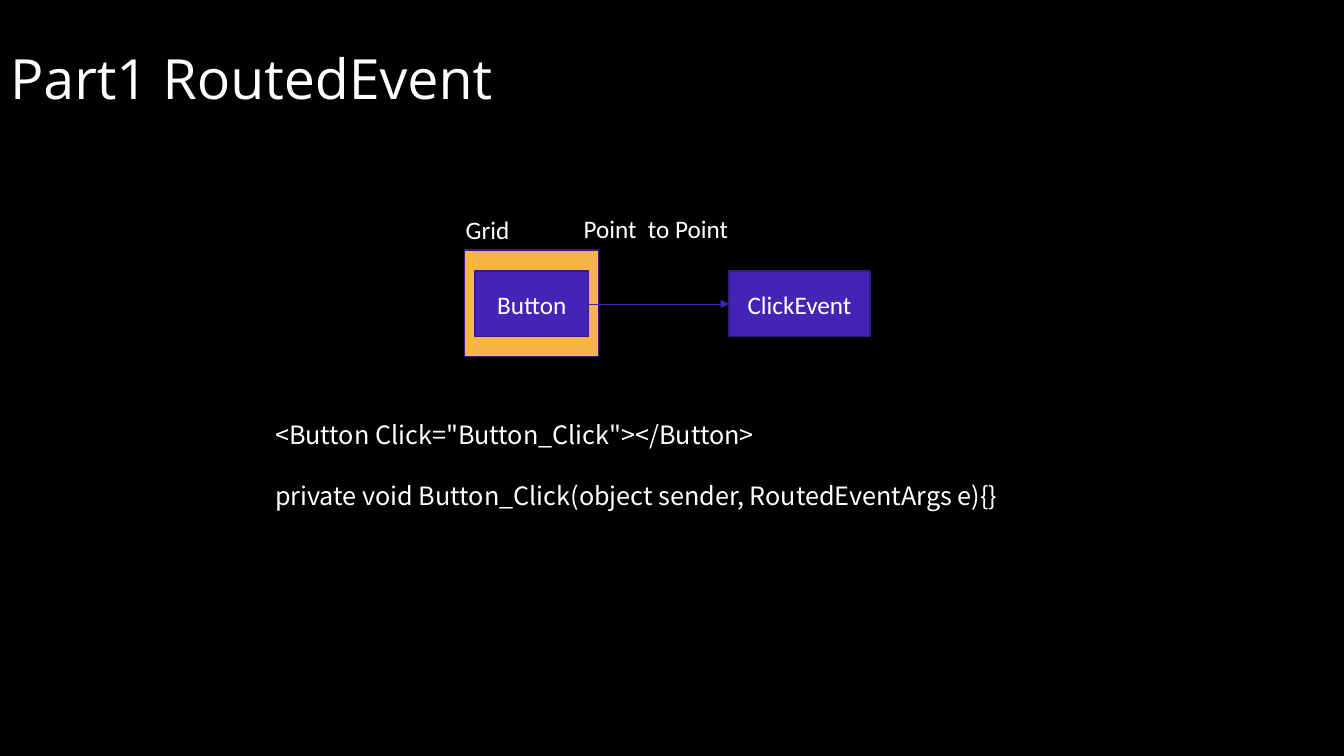
import pptx
import pptx.util
import pptx.dml.color
import pptx.enum.shapes
import pptx.enum.text
import pptx.oxml
import pptx.oxml.ns

Inches, Pt = pptx.util.Inches, pptx.util.Pt
RGB = pptx.dml.color.RGBColor.from_string
ALIGN = pptx.enum.text.PP_ALIGN
ANCHOR = pptx.enum.text.MSO_ANCHOR
COLORS = {"back": "000000", "text": "FFFFFF", "grid": "F7B548",
          "box": "4424B5", "edge": "321B86"}

prs = pptx.Presentation()
prs.slide_width, prs.slide_height = Inches(13.33), Inches(7.5)
slide = prs.slides.add_slide(prs.slide_layouts[5])
slide.background.fill.solid()
slide.background.fill.fore_color.rgb = RGB(COLORS["back"])


def write(s, lines, font, size, align, anchor, wrap=True):
    tf = s.text_frame
    tf.text = "\n".join(lines)
    tf.word_wrap = wrap
    tf.auto_size = pptx.enum.text.MSO_AUTO_SIZE.NONE
    tf.vertical_anchor = anchor
    for p in tf.paragraphs:
        p.alignment = align
        p.font.name, p.font.size = font, Pt(size)
        p.font.color.rgb = RGB(COLORS["text"])
    return tf


def add_box(left, top, width, height, fill):
    s = slide.shapes.add_shape(
        pptx.enum.shapes.MSO_SHAPE.RECTANGLE,
        Inches(left), Inches(top), Inches(width), Inches(height))
    s.shadow.inherit = False
    s.fill.solid()
    s.fill.fore_color.rgb = RGB(COLORS[fill])
    s.line.color.rgb = RGB(COLORS["edge"])
    s.line.width = Pt(1)
    return s


# Title
title = slide.shapes.title
title.left, title.top = 0, Inches(0.44)
title.width, title.height = Inches(6.17), Inches(0.73)
tf = write(title, ["Part1 RoutedEvent"], "Open Sans", 39.6, ALIGN.LEFT, ANCHOR.MIDDLE)
tf.paragraphs[0].line_spacing = 0.9

# Button inside its grid, and the event it raises
add_box(4.61, 2.48, 1.33, 1.06, "grid")
boxes = []
for label, left, width in [("Button", 4.71, 1.13), ("ClickEvent", 7.23, 1.4)]:
    s = add_box(left, 2.69, width, 0.65, "box")
    write(s, [label], "Calibri", 18, ALIGN.CENTER, ANCHOR.MIDDLE)
    boxes.append(s)
button, event = boxes

arrow = slide.shapes.add_connector(pptx.enum.shapes.MSO_CONNECTOR.STRAIGHT, 0, 0, 0, 0)
arrow.begin_connect(button, 3)
arrow.end_connect(event, 1)
arrow.line.color.rgb = RGB(COLORS["box"])
arrow.line.width = Pt(0.5)
ns = pptx.oxml.ns.nsdecls("a")
arrow.line._get_or_add_ln().append(
    pptx.oxml.parse_xml(f'<a:tailEnd {ns} type="triangle"/>'))
arrow._element.spPr.append(pptx.oxml.parse_xml(f"<a:effectLst {ns}/>"))

# Captions and code
texts = [
    (["Grid"], 4.52, 2.08, 0.64, 0.4, "Calibri", False),
    (["Point  to Point"], 5.69, 2.07, 1.7, 0.4, "Calibri", True),
    (['<Button Click="Button_Click"></Button>',
      "private void Button_Click(object sender, RoutedEventArgs e){}"],
     2.63, 4.11, 8.06, 1.01, "Noto Sans CJK SC", True),
]
for lines, left, top, width, height, font, wrap in texts:
    s = slide.shapes.add_textbox(Inches(left), Inches(top), Inches(width), Inches(height))
    tf = write(s, lines, font, 18, ALIGN.LEFT, ANCHOR.TOP, wrap)
    if len(lines) > 1:
        for p in tf.paragraphs:
            p.line_spacing = Pt(22)
        tf.paragraphs[1].space_before = Pt(21)

prs.save("out.pptx")
